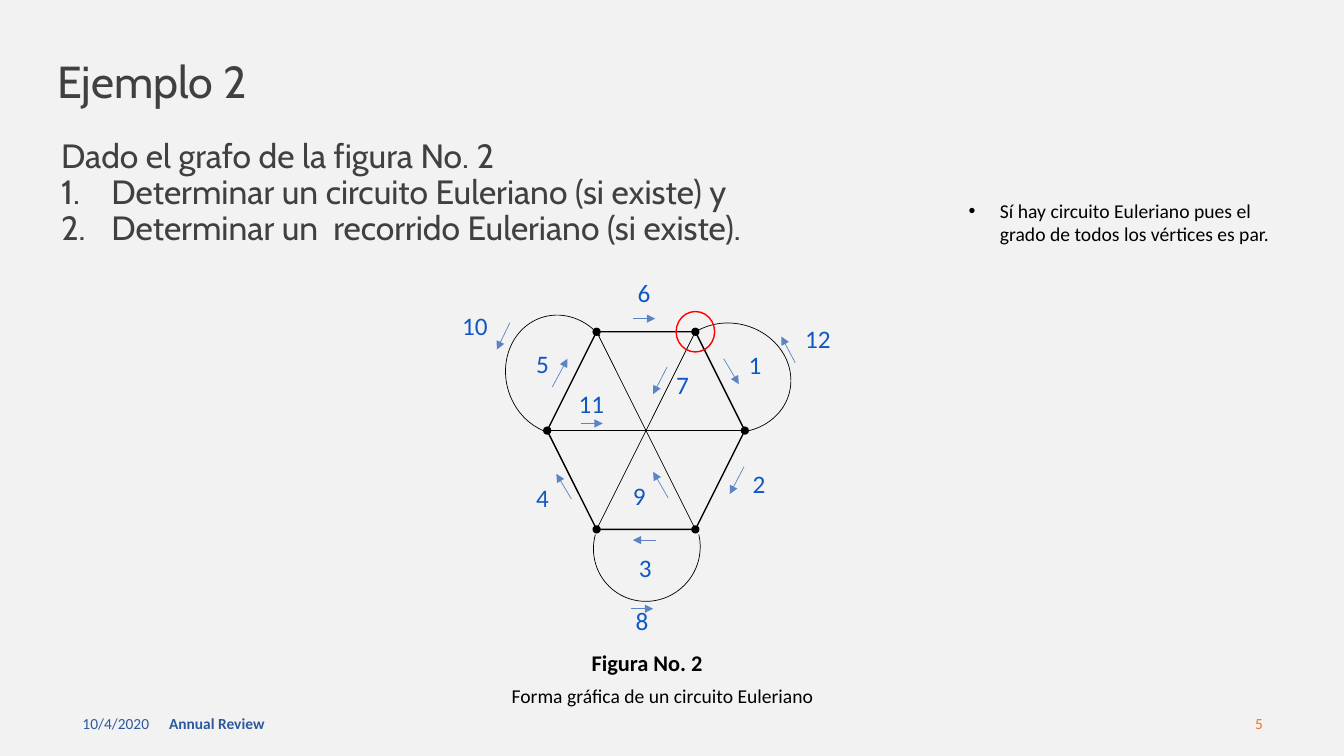
from lxml.etree import SubElement
from pptx import Presentation
from pptx.dml.color import RGBColor
from pptx.enum.shapes import MSO_CONNECTOR, MSO_SHAPE
from pptx.enum.text import MSO_ANCHOR, PP_ALIGN
from pptx.oxml.ns import qn
from pptx.util import Cm, Pt

BACKGROUND = RGBColor(0xF2, 0xF2, 0xF2)
HEADING = RGBColor(0x40, 0x40, 0x40)
BLACK = RGBColor(0, 0, 0)
RED = RGBColor(0xFF, 0, 0)
FOOTER_BLUE = RGBColor(0x2C, 0x59, 0x9D)
ORANGE = RGBColor(0xFA, 0x6F, 0x1A)
ARROW_BLUE = RGBColor(0x5C, 0x83, 0xC4)
NUMBER_BLUE = RGBColor(0x0E, 0x58, 0xC4)

HEXAGON_SIDE = 4.98

# Adjustments shared by the three loops: start and end angle of the arc
LOOP_ANGLES = (129, 38.16)

# Left, top, width, height, rotation, relative to the hexagon
LOOPS = [
    (-1.19, -0.28, 3.05, 2.74, 251.9),
    (3.1, -0.21, 3.05, 2.74, 13.9),
    (1.15, 4.11, 2.72, 2.67, 130.7),
]

# Label corner, arrow start, arrow end for steps 1 to 12, relative to the hexagon
STEPS = [
    ((4.83, 0.33), (4.45, 0.68), (4.83, 1.32)),
    ((4.93, 3.32), (4.96, 3.4), (4.6, 4.09)),
    ((2.06, 5.43), (2.75, 5.25), (2.16, 5.25)),
    ((-0.53, 3.68), (0.61, 4.21), (0.23, 3.58)),
    ((-0.53, 0.3), (0.13, 1.39), (0.51, 0.68)),
    ((2.03, -1.5), (2.16, -0.33), (2.72, -0.33)),
    ((3.0, 0.81), (3.02, 0.89), (2.67, 1.57)),
    ((1.98, 6.78), (2.11, 6.98), (2.67, 6.98)),
    ((1.91, 3.63), (3.05, 4.19), (2.67, 3.53)),
    ((-2.39, -0.66), (-0.94, -0.23), (-1.27, 0.45)),
    ((0.54, 1.29), (0.84, 2.31), (1.4, 2.31)),
    ((6.25, -0.33), (6.25, 0.78), (5.9, 0.12)),
]


def add_bullet(para, bullet, indent):
    """Hang the paragraph on a character, or on a number if bullet is 'number'."""
    properties = para._p.get_or_add_pPr()
    properties.set("marL", str(Cm(indent)))
    properties.set("indent", str(-Cm(indent)))
    if bullet == "number":
        SubElement(properties, qn("a:buAutoNum"), type="arabicPeriod")
    else:
        SubElement(properties, qn("a:buFont"), typeface="Arial")
        SubElement(properties, qn("a:buChar"), char=bullet)


def add_text(page, box, *lines, size, color, font="Calibri", bold=False,
             align=PP_ALIGN.LEFT, anchor=MSO_ANCHOR.TOP, spacing=1.0,
             bullet=None, indent=0, plain_lines=0):
    """Write one paragraph per line; the first plain_lines have no bullet."""
    frame = page.shapes.add_textbox(*map(Cm, box)).text_frame
    frame.word_wrap = True
    frame.vertical_anchor = anchor
    for index, line in enumerate(lines):
        para = frame.add_paragraph() if index else frame.paragraphs[0]
        if bullet and index >= plain_lines:
            add_bullet(para, bullet, indent)
        para.alignment = align
        para.line_spacing = spacing
        span = para.add_run()
        span.text = line
        span.font.name = font
        span.font.size = Pt(size)
        span.font.bold = bold
        span.font.color.rgb = color


def add_outline(page, preset, box, color, width):
    shape = page.shapes.add_shape(preset, *map(Cm, box))
    shape.shadow.inherit = False
    shape.fill.background()
    shape.line.color.rgb = color
    shape.line.width = Pt(width)
    return shape


def add_line(page, start, end, color, head=None, tail=None):
    line = page.shapes.add_connector(MSO_CONNECTOR.STRAIGHT, *map(Cm, start + end))
    line.line.color.rgb = color
    line.line.width = Pt(0.5)
    stroke = line.line._get_or_add_ln()
    for tag, kind in (("a:headEnd", head), ("a:tailEnd", tail)):
        if kind:
            SubElement(stroke, qn(tag), type=kind)
    SubElement(line._element.spPr, qn("a:effectLst"))


def draw_graph(page, left, top, side):
    """Draw the graph with its hexagon in the square at left, top."""
    def place(point):
        return left + point[0], top + point[1]

    add_outline(page, MSO_SHAPE.HEXAGON, (left, top, side, side), BLACK, 1)
    near, far, middle = side / 4, side * 3 / 4, side / 2
    for start, end in (((near, 0), (far, side)),
                       ((near, side), (far, 0)),
                       ((0, middle), (side, middle))):
        add_line(page, place(start), place(end), BLACK, head="oval", tail="oval")

    for x, y, width, height, rotation in LOOPS:
        loop = add_outline(page, MSO_SHAPE.ARC, place((x, y)) + (width, height), BLACK, 0.5)
        loop.adjustments[0], loop.adjustments[1] = LOOP_ANGLES
        loop.rotation = rotation

    ring_width, ring_height = 0.97, 1.02
    corner = place((far - ring_width / 2, -ring_height / 2))
    add_outline(page, MSO_SHAPE.OVAL, corner + (ring_width, ring_height), RED, 1)

    for number, (label, start, end) in enumerate(STEPS, 1):
        add_line(page, place(start), place(end), ARROW_BLUE, tail="triangle")
        width = 0.6 * len(str(number))
        add_text(page, place(label) + (width, 1.02), str(number),
                 size=18, color=NUMBER_BLUE)


def write_heading(page, left, top, width):
    add_text(page, (left, top, width, 1.96), "Ejemplo 2", size=32, color=HEADING,
             font="Cabin", anchor=MSO_ANCHOR.MIDDLE, spacing=0.9)
    add_text(page, (left + 0.1, top + 1.65, 26.14, 4.17),
             "Dado el grafo de la figura No. 2",
             "Determinar un circuito Euleriano (si existe) y",
             "Determinar un  recorrido Euleriano (si existe).",
             size=24, color=HEADING, font="Cabin", anchor=MSO_ANCHOR.MIDDLE,
             spacing=0.9, bullet="number", indent=1.27, plain_lines=1)


def write_caption(page, left, top, width):
    add_text(page, (left + 0.36, top, width - 1.5, 0.94), "Figura No. 2",
             size=16, color=BLACK, bold=True, align=PP_ALIGN.CENTER)
    add_text(page, (left, top + 0.89, width, 0.86),
             "Forma gráfica de un circuito Euleriano",
             size=14, color=BLACK, align=PP_ALIGN.CENTER)


def write_answer(page, left, top, width):
    add_text(page, (left, top, width, 1.45),
             "Sí hay circuito Euleriano pues el grado de todos los vértices es par.",
             size=14, color=BLACK, bullet="•", indent=0.79)


def write_footer(page, left, top, width):
    style = {"size": 11, "anchor": MSO_ANCHOR.MIDDLE}
    add_text(page, (left, top, 7.62, 1.02), "10/4/2020", color=FOOTER_BLUE, **style)
    add_text(page, (left + 2.18, top, 11.43, 1.02), "Annual Review",
             color=FOOTER_BLUE, bold=True, **style)
    add_text(page, (left + width - 7.62, top, 7.62, 1.02), "5",
             color=ORANGE, align=PP_ALIGN.RIGHT, **style)


def main():
    deck = Presentation()
    deck.slide_width, deck.slide_height = Cm(33.87), Cm(19.05)
    page = deck.slides.add_slide(deck.slide_layouts[6])
    page.background.fill.solid()
    page.background.fill.fore_color.rgb = BACKGROUND
    write_footer(page, 1.83, 17.73, 30.25)
    write_heading(page, 1.19, 1.14, 31.5)
    draw_graph(page, 13.79, 8.36, HEXAGON_SIDE)
    write_caption(page, 11.71, 16.23, 9.98)
    write_answer(page, 24.16, 4.88, 8.56)
    deck.save("out.pptx")


if __name__ == "__main__":
    main()
